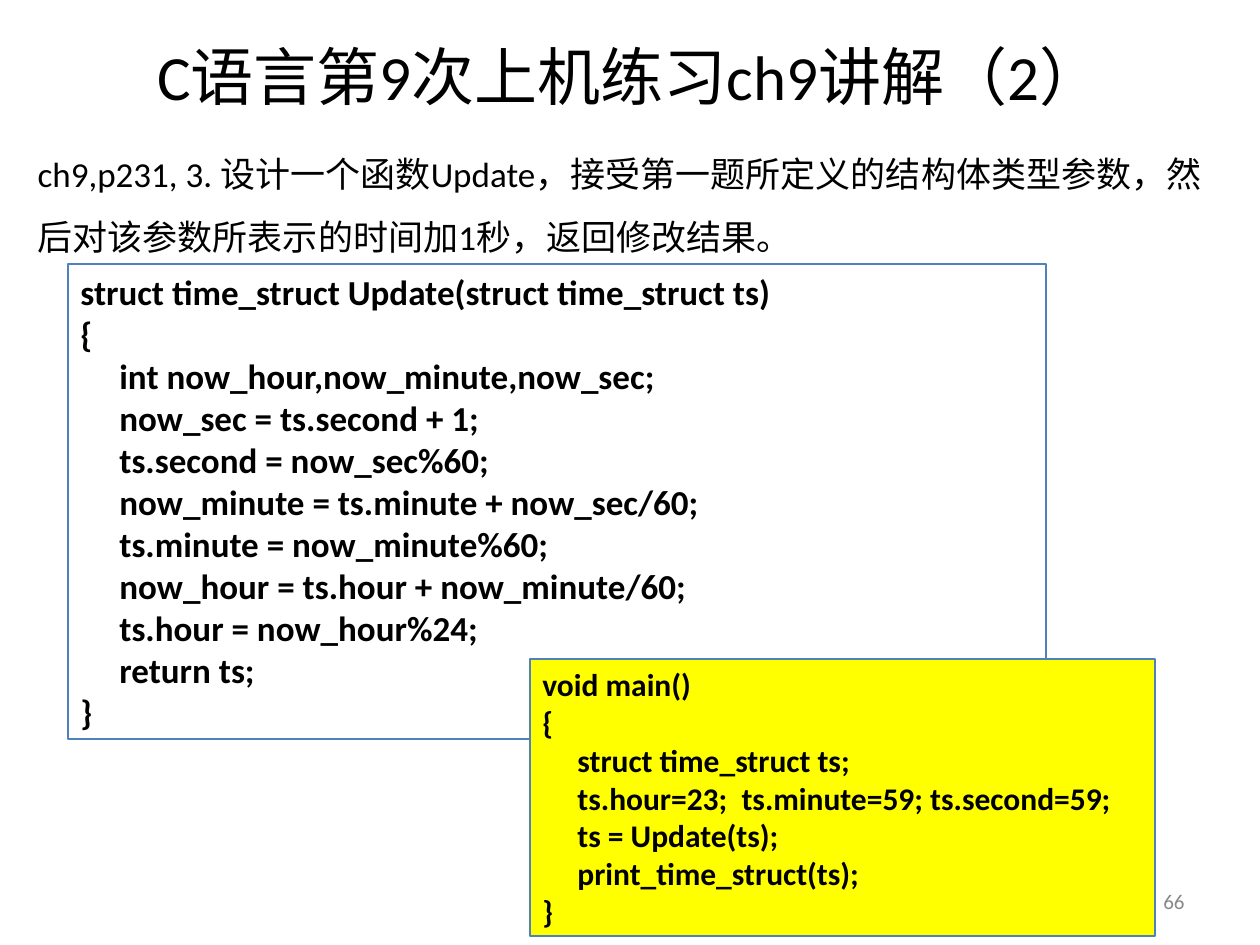
from pptx import Presentation
from pptx import util as u
from pptx.dml.color import RGBColor
from pptx.enum import shapes, text

PX = 914400 // 126
FONT = "Calibri"
BLACK, GREY, BLUE, YELLOW = "000000", "898989", "4F81BD", "FFFF00"

TITLE = "C语言第9次上机练习ch9讲解（2）"
TASK = ("ch9,p231, 3. 设计一个函数Update，接受第一题所定义的结构体类型参数，"
        "然后对该参数所表示的时间加1秒，返回修改结果。")
PAGE = "66"

CODE_BOXES = [
    dict(at=(68, 264, 978, 475), fill=None, size=20, indent=39,
         head="struct time_struct Update(struct time_struct ts)",
         body=["int now_hour,now_minute,now_sec;",
               "now_sec = ts.second + 1;",
               "ts.second = now_sec%60;",
               "now_minute = ts.minute + now_sec/60;",
               "ts.minute = now_minute%60;",
               "now_hour = ts.hour + now_minute/60;",
               "ts.hour = now_hour%24;",
               "return ts;"]),
    dict(at=(530, 659, 625, 277), fill=YELLOW, size=18, indent=35,
         head="void main()",
         body=["struct time_struct ts;",
               "ts.hour=23;  ts.minute=59; ts.second=59;",
               "ts = Update(ts);",
               "print_time_struct(ts);"]),
]


def rgb(value):
    return RGBColor.from_string(value)


def px(*values):
    return [v * PX for v in values]


def place(sp, at):
    sp.left, sp.top, sp.width, sp.height = px(*at)


def write(p, words, size, color=BLACK, bold=False, align=text.PP_ALIGN.LEFT, indent=0):
    p.text = words
    p.alignment = align
    pPr = p._p.get_or_add_pPr()
    pPr.set("marL", str(indent * PX))
    pPr.set("indent", "0")
    for r in p.runs:
        r.font.name, r.font.size, r.font.bold = FONT, u.Pt(size), bold
        r.font.color.rgb = rgb(color)


def frame(sp, anchor):
    tf = sp.text_frame
    tf.word_wrap = True
    tf.auto_size = text.MSO_AUTO_SIZE.NONE
    tf.vertical_anchor = anchor
    return tf


def code_box(s, at, fill, size, indent, head, body):
    sp = s.shapes.add_shape(shapes.MSO_SHAPE.RECTANGLE, *px(*at))
    sp.shadow.inherit = False
    if fill:
        sp.fill.solid()
        sp.fill.fore_color.rgb = rgb(fill)
    else:
        sp.fill.background()
    sp.line.color.rgb = rgb(BLUE)
    sp.line.width = u.Pt(0.75)
    tf = frame(sp, text.MSO_ANCHOR.TOP)
    lines = [(head, 0), ("{", 0)] + [(line, indent) for line in body] + [("}", 0)]
    for i, (line, offset) in enumerate(lines):
        p = tf.add_paragraph() if i else tf.paragraphs[0]
        write(p, line, size, bold=True, indent=offset)


prs = Presentation()
prs.slide_width, prs.slide_height = u.Inches(10), u.Inches(7.5)
s = prs.slides.add_slide(prs.slide_layouts[1])

title, body = s.placeholders
place(title, (63, -4, 1134, 158))
write(frame(title, text.MSO_ANCHOR.MIDDLE).paragraphs[0], TITLE, 36,
      align=text.PP_ALIGN.CENTER)

place(body, (25, 125, 1191, 774))
p = frame(body, text.MSO_ANCHOR.TOP).paragraphs[0]
write(p, TASK, 20)
p.line_spacing = 1.5
p.space_before = u.Pt(5)
pPr = p._p.get_or_add_pPr()
pPr.append(pPr.makeelement("{http://schemas.openxmlformats.org/drawingml/2006/main}buNone", {}))

number = s.shapes.add_textbox(*px(903, 876, 294, 50))
write(frame(number, text.MSO_ANCHOR.MIDDLE).paragraphs[0], PAGE, 12, GREY,
      align=text.PP_ALIGN.RIGHT)

for box in CODE_BOXES:
    code_box(s, **box)

prs.save("out.pptx")
